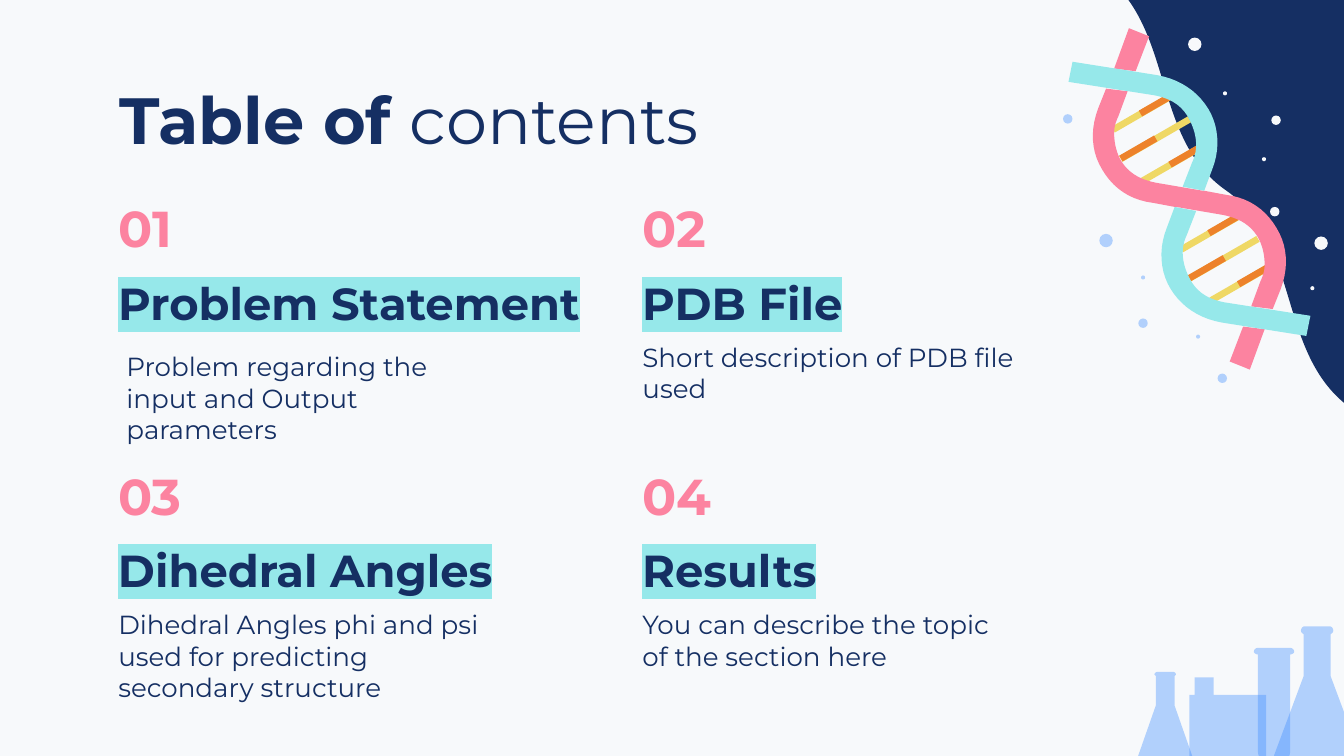
from pptx import Presentation
from pptx.dml.color import RGBColor
from pptx.enum.shapes import MSO_SHAPE
from pptx.enum.text import MSO_ANCHOR, MSO_AUTO_SIZE, PP_ALIGN
from pptx.oxml.ns import qn
from pptx.util import Inches, Pt
from lxml.etree import SubElement

# Content: number, heading, text, heading width, text shift
TITLE = [("Table of ", True), ("contents", False)]
TOPICS = [
    ("01", "Problem Statement", "Problem regarding the input and Output parameters", 3.89, (0.06, 0.07)),
    ("02", "PDB File", "Short description of PDB file used", 3, (0, 0)),
    ("03", "Dihedral Angles", "Dihedral Angles phi and psi used for predicting secondary structure", 3, (0, 0)),
    ("04", "Results", "You can describe the topic of the section here", 3, (0, 0)),
]
NAVY, PINK, TEAL, BLUE = "152F63", "FC83A0", "96E8EA", "3B8BFF"
PALE, GOLD, RUST = "F7F9FB", "EFD865", "ED822B"
COLS, ROW, STEP = (0.78, 4.68), 1.37, 1.99

# Outlines: a pair is a line to a point, six numbers are a cubic curve
BEAKER = [(8.89, 5.04), (8.89, 5.17), (8.85, 5.17), (8.85, 5.71), (9.42, 5.71),
          (9.42, 5.17), (9.03, 5.17), (9.03, 5.04)]
# Left halves of symmetric glassware, each with its axis
GLASS = [
    (8.67, [(8.61, 5), (8.6, 5, 8.59, 5.01, 8.59, 5.02), (8.6, 5.03), (8.6, 5.25),
            (8.46, 5.65), (8.45, 5.68, 8.47, 5.71, 8.5, 5.71)]),
    (9.8, [(9.71, 4.66), (9.69, 4.66, 9.68, 4.68, 9.68, 4.69),
           (9.68, 4.71, 9.69, 4.71, 9.7, 4.72), (9.7, 5.03), (9.48, 5.62),
           (9.47, 5.66, 9.5, 5.71, 9.55, 5.71)]),
    (9.48, [(9.36, 4.82), (9.35, 4.82, 9.33, 4.83, 9.33, 4.85),
            (9.33, 4.86, 9.35, 4.87, 9.36, 4.87), (9.36, 5.59),
            (9.36, 5.65, 9.42, 5.71, 9.48, 5.71)]),
]
# DNA: every part is repeated by a half turn about the centre
CENTRE = (8.85, 1.48)
TIP = [(8.4, 0.21), (8.29, 0.51), (8.45, 0.53), (8.55, 0.27)]
BAND = [(8.75, 1.54), (9.1, 1.6), (9.2, 1.62, 9.29, 1.66, 9.35, 1.75),
        (9.39, 1.81, 9.41, 1.89, 9.41, 1.97), (9.41, 2.01, 9.4, 2.05, 9.38, 2.09),
        (9.31, 2.28), (9.47, 2.3), (9.53, 2.15), (9.59, 1.99, 9.58, 1.83, 9.5, 1.7),
        (9.42, 1.56, 9.29, 1.47, 9.12, 1.45), (8.96, 1.42)]
STRAND = [(7.98, 0.46), (7.95, 0.61), (8.59, 0.71), (8.69, 0.73, 8.79, 0.77, 8.85, 0.89),
          (8.88, 0.95, 8.9, 1.01, 8.9, 1.08), (8.9, 1.12, 8.89, 1.17, 8.87, 1.21),
          (8.8, 1.39), (8.96, 1.42), (9.02, 1.26), (9.08, 1.11, 9.07, 0.94, 8.99, 0.81),
          (8.91, 0.68, 8.78, 0.59, 8.61, 0.56)]
# Rungs: left, top, width; the second set is shifted
RUNGS = [(GOLD, [(8.3, 1.01, 0.59), (8.25, 0.82, 0.48), (8.47, 1.2, 0.48)]),
         (RUST, [(8.32, 1.08, 0.3), (8.47, 0.76, 0.24), (8.69, 1.14, 0.24)])]
SHIFTS = [(0, 0), (0.51, 0.89)]
# Dots: colour, opacity, size, corners
DOTS = [
    (PALE, 100, 0.07, [(9.46, 0.86), (9.45, 1.54)]),
    (BLUE, 37, 0.07, [(8.47, 2.37), (7.91, 0.85), (9.06, 2.78)]),
    (PALE, 100, 0.03, [(9.75, 2.13), (9.1, 0.68), (9.39, 1.17)]),
    (BLUE, 37, 0.03, [(8.49, 2.05), (8.9, 2.49)]),
    (BLUE, 37, 0.1, [(8.18, 1.74)]),
    (PALE, 100, 0.1, [(9.78, 1.76), (8.84, 0.28)]),
]


def paint(shape, color, alpha=100):
    shape.shadow.inherit = False
    shape.line.fill.background()
    shape.fill.solid()
    shape.fill.fore_color.rgb = RGBColor.from_string(color)
    if alpha < 100:
        tone = shape.fill._xPr.find(qn("a:solidFill"))[0]
        SubElement(tone, qn("a:alpha"), val=str(alpha * 1000))


def preset(kind, box, color, alpha=100, turn=0):
    shape = shapes.add_shape(kind, *map(Inches, box))
    shape.rotation = turn
    paint(shape, color, alpha)
    return shape


def trace(steps, parts=10):
    """Turn lines and cubic curves into points."""
    points = []
    for step in steps:
        if len(step) == 2:
            points.append(step)
            continue
        ends = [points[-1], step[:2], step[2:4], step[4:]]
        for n in range(1, parts + 1):
            t = n / parts
            mix = ((1 - t) ** 3, 3 * t * (1 - t) ** 2, 3 * t * t * (1 - t), t ** 3)
            points.append(tuple(sum(m * e[i] for m, e in zip(mix, ends)) for i in (0, 1)))
    return points


def mirror(points, axis):
    return points + [(2 * axis - x, y) for x, y in reversed(points)]


def rotate(points):
    return [(2 * CENTRE[0] - x, 2 * CENTRE[1] - y) for x, y in points]


def outline(points, color, alpha=100):
    spots = [(Inches(x), Inches(y)) for x, y in points]
    maker = shapes.build_freeform(*spots[0], scale=1)
    maker.add_line_segments(spots[1:], close=True)
    paint(maker.convert_to_shape(), color, alpha)


def write(shape, box, runs, size, color=NAVY, anchor=MSO_ANCHOR.TOP, mark=None):
    shape.left, shape.top, shape.width, shape.height = map(Inches, box)
    frame = shape.text_frame
    form = {"word_wrap": True, "auto_size": MSO_AUTO_SIZE.NONE, "vertical_anchor": anchor}
    form.update({f"margin_{side}": Inches(0.1) for side in ("left", "top", "right", "bottom")})
    for name, value in form.items():
        setattr(frame, name, value)
    para = frame.paragraphs[0]
    para.alignment, para.space_before = PP_ALIGN.LEFT, Pt(0)
    props = para._p.get_or_add_pPr()
    props.set("marL", "0")
    props.set("indent", "0")
    SubElement(props, qn("a:buNone"))
    for text, bold in runs:
        run = para.add_run()
        run.text = text
        for name, value in {"size": Pt(size), "bold": bold, "name": "Montserrat"}.items():
            setattr(run.font, name, value)
        run.font.color.rgb = RGBColor.from_string(color)
        if mark:
            props = run._r.get_or_add_rPr()
            light = SubElement(props, qn("a:highlight"))
            SubElement(light, qn("a:srgbClr"), val=mark)
            props.find(qn("a:solidFill")).addnext(light)


deck = Presentation()
deck.slide_width = Inches(10)
deck.slide_height = deck.slide_width * 9 // 16
slide = deck.slides.add_slide(deck.slide_layouts[4])  # title and four bodies
shapes = slide.shapes
slide.background.fill.solid()
slide.background.fill.fore_color.rgb = RGBColor.from_string(PALE)

# Corner wave and glassware
wave = preset(MSO_SHAPE.DOUBLE_WAVE, (8.17, -0.28, 3.76, 2.32), NAVY, turn=60)
wave.adjustments[0], wave.adjustments[1] = 0.038, 0
outline(BEAKER, BLUE, 37)
for axis, half in GLASS:
    outline(mirror(trace(half), axis), BLUE, 37)

# Title and topics
write(shapes.title, (0.79, 0.49, 8.43, 0.63), TITLE, 35)
bodies = list(slide.placeholders)[1:]
for n, (topic, body) in enumerate(zip(TOPICS, bodies)):
    number, head, text, width, (dx, dy) = topic
    left, top = COLS[n % 2], ROW + n // 2 * STEP
    write(shapes.add_textbox(0, 0, 0, 0), (left, top, 0.75, 0.65), [(number, True)], 27,
          PINK, MSO_ANCHOR.MIDDLE)
    write(shapes.add_textbox(0, 0, 0, 0), (left, top + 0.67, width, 0.51), [(head, True)], 24,
          anchor=MSO_ANCHOR.BOTTOM, mark=TEAL)
    write(body, (left + dx, top + 1.07 + dy, 3, 0.53), [(text, False)], 14)

# DNA rungs, then strands
for dx, dy in SHIFTS:
    for color, bars in RUNGS:
        for x, y, width in bars:
            preset(MSO_SHAPE.RECTANGLE, (x + dx, y + dy, width, 0.05), color, turn=330)
band = trace(BAND)
outline(band + rotate(band), PINK)
for steps, color in ((TIP, PINK), (STRAND, TEAL)):
    points = trace(steps)
    outline(points, color)
    outline(rotate(points), color)

# Dots
for color, alpha, size, spots in DOTS:
    for x, y in spots:
        preset(MSO_SHAPE.OVAL, (x, y, size, size), color, alpha)

deck.save("out.pptx")
